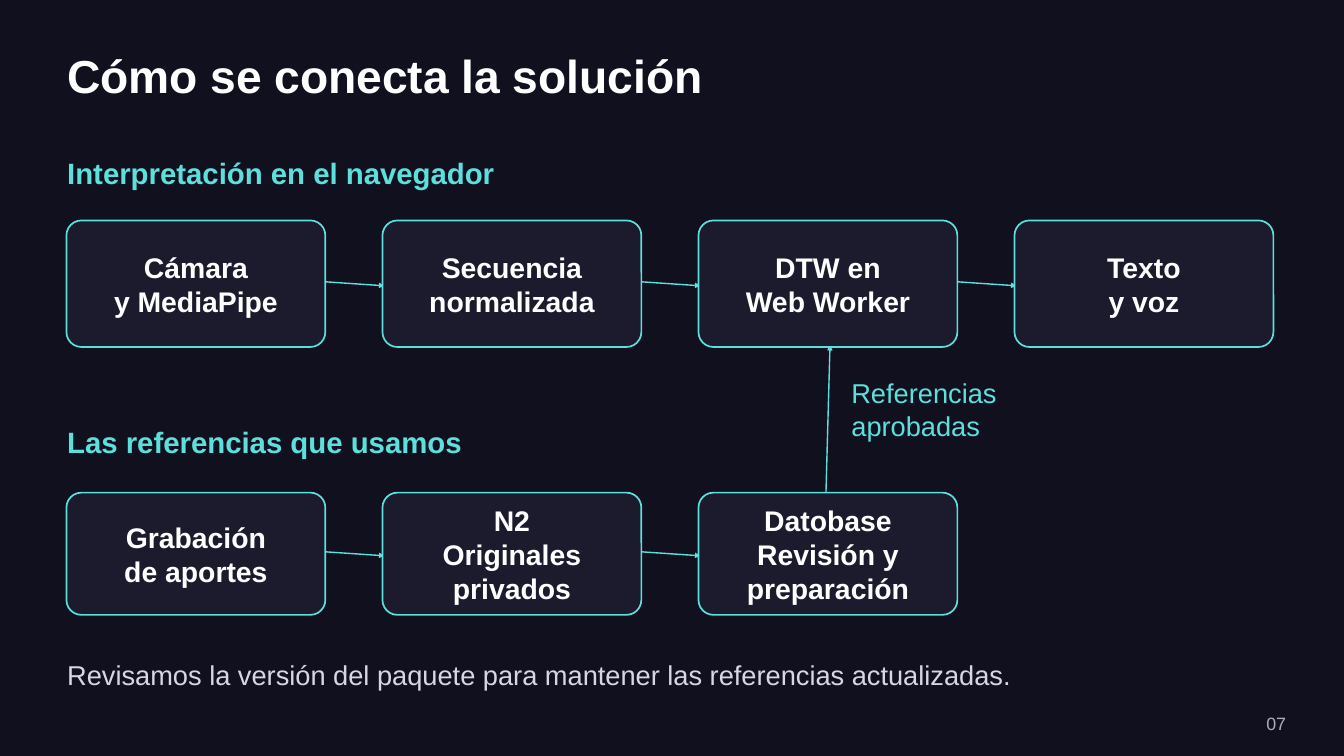
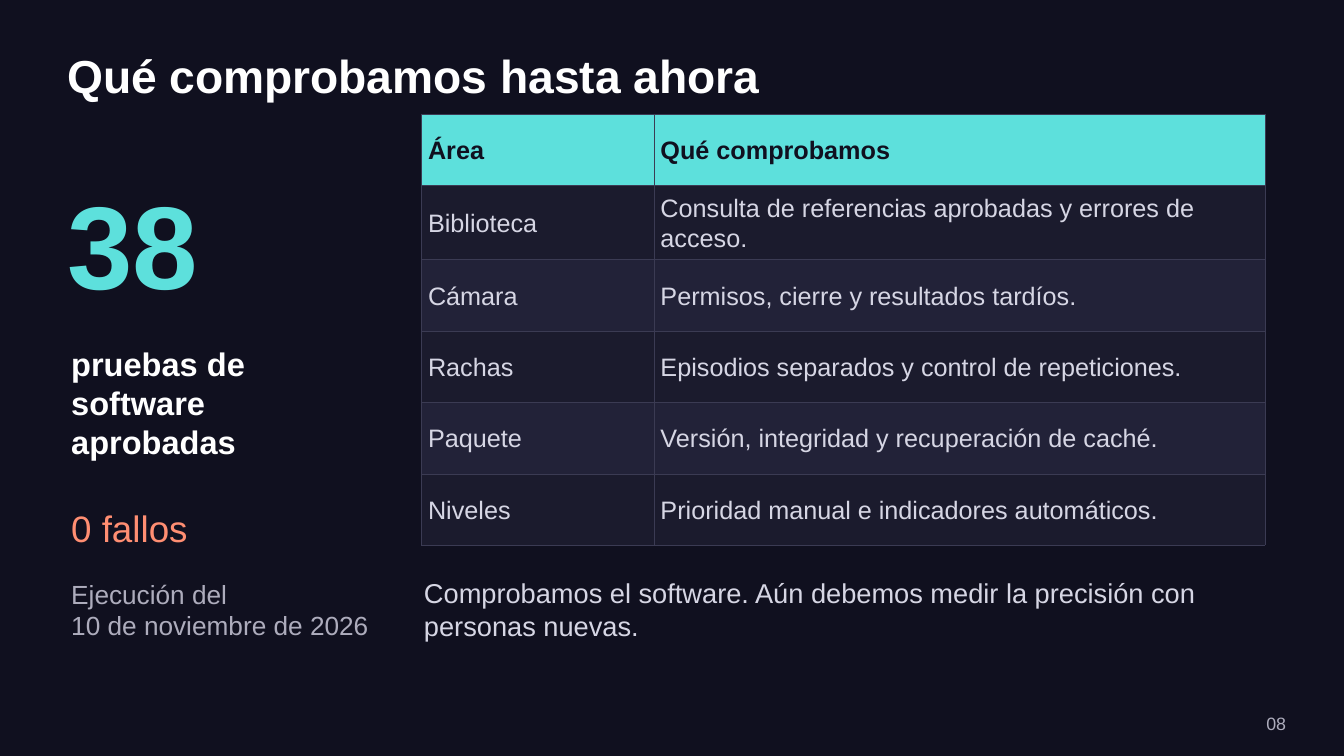
import lxml.etree
import pptx
import pptx.dml.color
import pptx.enum.shapes
import pptx.enum.text
import pptx.oxml
import pptx.oxml.ns
import pptx.util

Pt = pptx.util.Pt
RGBColor = pptx.dml.color.RGBColor
PP_ALIGN = pptx.enum.text.PP_ALIGN
MIDDLE = pptx.enum.text.MSO_ANCHOR.MIDDLE

NIGHT = RGBColor(0x10, 0x10, 0x1F)
PANEL = RGBColor(0x1B, 0x1B, 0x2D)
PANEL_ALT = RGBColor(0x22, 0x22, 0x38)
GRID = RGBColor(0x3B, 0x3B, 0x53)
TURQUOISE = RGBColor(0x5D, 0xE0, 0xDC)
CORAL = RGBColor(0xFF, 0x8E, 0x72)
WHITE = RGBColor(0xFF, 0xFF, 0xFF)
LIGHT = RGBColor(0xD6, 0xD6, 0xE4)
MUTED = RGBColor(0xAD, 0xAC, 0xBC)

FONT = "Arial"
LINE_FACTOR = 1.2
SLIDE_WIDTH, SLIDE_HEIGHT = 1440, 810
MARGIN = 72

# Text styles: size, colour, bold
STYLES = {
    "title": (49.5, WHITE, True),
    "number": (19.1, MUTED, False),
    "section": (31.5, TURQUOISE, True),
    "step": (30.4, WHITE, True),
    "link": (29.2, TURQUOISE, False),
    "body": (29.2, LIGHT, False),
    "figure": (126, TURQUOISE, True),
    "caption": (34.9, WHITE, True),
    "failures": (39.4, CORAL, False),
    "date": (28.1, MUTED, False),
    "header": (27, NIGHT, True),
    "cell": (27, LIGHT, False),
}

# Flow rows: heading, heading top, box top, box height, steps
FLOWS = [
    ("Interpretación en el navegador", 166.3, 236.2, 135.6, [
        ["Cámara", "y MediaPipe"],
        ["Secuencia", "normalizada"],
        ["DTW en", "Web Worker"],
        ["Texto", "y voz"],
    ]),
    ("Las referencias que usamos", 454.3, 527.8, 131, [
        ["Grabación", "de aportes"],
        ["N2", "Originales privados"],
        ["Datobase", "Revisión y preparación"],
    ]),
]
LINKED_STEP = 2
LINK_LABEL = ["Referencias", "aprobadas"]
FLOW_NOTE = ["Revisamos la versión del paquete para mantener las referencias actualizadas."]

STEP_LEFT, STEP_WIDTH, STEP_PITCH, STEP_RADIUS = 71.2, 277.4, 338.6, 16
ARROW_INSET = ARROW_DRIFT = 2.2

# Left column: style, lines, left, top, width, height
RESULTS = [
    ("figure", ["38"], 72, 184.3, 317.5, 160),
    ("caption", ["pruebas de software", "aprobadas"], 76.3, 368.6, 326.2, 113),
    ("failures", ["0 fallos"], 76.3, 542.2, 292.3, 57.6),
    ("date", ["Ejecución del", "10 de noviembre de 2026"], 76.3, 619.2, 320.4, 91.4),
]
CHECKS = [
    ("Área", "Qué comprobamos"),
    ("Biblioteca", "Consulta de referencias aprobadas y errores de acceso."),
    ("Cámara", "Permisos, cierre y resultados tardíos."),
    ("Rachas", "Episodios separados y control de repeticiones."),
    ("Paquete", "Versión, integridad y recuperación de caché."),
    ("Niveles", "Prioridad manual e indicadores automáticos."),
]
CHECKS_LEFT, CHECKS_TOP = 451.4, 122.4
CHECKS_COLUMNS = (249.1, 655.2)
CHECKS_ROW_HEIGHT = 76.5
CELL_MARGIN = 7.2
CHECKS_NOTE = ["Comprobamos el software. Aún debemos medir la precisión con personas nuevas."]


def write(text_frame, lines, style, align=PP_ALIGN.LEFT, margin=0):
    size, colour, bold = STYLES[style]
    text_frame.word_wrap = True
    for side in ("left", "top", "right", "bottom"):
        setattr(text_frame, f"margin_{side}", Pt(margin))
    for index, line in enumerate(lines):
        paragraph = text_frame.paragraphs[0] if index == 0 else text_frame.add_paragraph()
        paragraph.alignment = align
        paragraph.line_spacing = Pt(round(size * LINE_FACTOR, 1))
        run = paragraph.add_run()
        run.text = line
        for name, value in {"name": FONT, "size": Pt(size), "bold": bold}.items():
            setattr(run.font, name, value)
        run.font.color.rgb = colour


def add_text(slide, lines, style, left, top, width, height, align=PP_ALIGN.LEFT):
    box = slide.shapes.add_textbox(Pt(left), Pt(top), Pt(width), Pt(height))
    write(box.text_frame, lines, style, align)


def add_slide(presentation, title, number):
    """Add a dark slide with its title and page number."""
    slide = presentation.slides.add_slide(presentation.slide_layouts[6])
    slide.background.fill.solid()
    slide.background.fill.fore_color.rgb = NIGHT
    add_text(slide, [title], "title", MARGIN, 50.4, 1293.8, 85.7)
    add_text(slide, [number], "number", 1333.4, 763.9, 44.6, 26.6, PP_ALIGN.RIGHT)
    return slide


def add_arrow(slide, *ends):
    connector = slide.shapes.add_connector(
        pptx.enum.shapes.MSO_CONNECTOR.STRAIGHT, *[Pt(value) for value in ends])
    connector.line.color.rgb = TURQUOISE
    connector.line.width = Pt(1.5)
    tail = lxml.etree.SubElement(connector.line._get_or_add_ln(), pptx.oxml.ns.qn("a:tailEnd"))
    tail.set("type", "triangle")
    lxml.etree.SubElement(connector._element.spPr, pptx.oxml.ns.qn("a:effectLst"))


def add_step(slide, lines, left, top, height):
    shape = slide.shapes.add_shape(
        pptx.enum.shapes.MSO_SHAPE.ROUNDED_RECTANGLE,
        Pt(left), Pt(top), Pt(STEP_WIDTH), Pt(height))
    shape.adjustments[0] = STEP_RADIUS / height
    shape.shadow.inherit = False
    shape.fill.solid()
    shape.fill.fore_color.rgb = PANEL
    shape.line.color.rgb = TURQUOISE
    shape.line.width = Pt(1.8)
    shape.text_frame.vertical_anchor = MIDDLE
    write(shape.text_frame, lines, "step", PP_ALIGN.CENTER)


def step_left(index):
    return STEP_LEFT + index * STEP_PITCH


def build_flow_slide(presentation):
    slide = add_slide(presentation, "Cómo se conecta la solución", "07")

    (_, _, upper_top, upper_height, _), (_, _, lower_top, _, _) = FLOWS
    link_x = step_left(LINKED_STEP) + STEP_WIDTH / 2
    add_arrow(slide, link_x - ARROW_DRIFT, lower_top + ARROW_INSET,
              link_x + ARROW_DRIFT, upper_top + upper_height - ARROW_INSET)
    for _, _, top, height, steps in FLOWS:
        middle = top + height / 2
        for index in range(len(steps) - 1):
            add_arrow(slide, step_left(index) + STEP_WIDTH - ARROW_INSET, middle - ARROW_DRIFT,
                      step_left(index + 1) + ARROW_INSET, middle + ARROW_DRIFT)

    for heading, heading_top, top, height, steps in FLOWS:
        add_text(slide, [heading], "section", MARGIN, heading_top, 1260, 49)
        for index, lines in enumerate(steps):
            add_step(slide, lines, step_left(index), top, height)

    add_text(slide, LINK_LABEL, "link", 912.2, 403.2, 315.4, 87.1)
    add_text(slide, FLOW_NOTE, "body", MARGIN, 704.9, 1293.8, 51.8)


def add_cell_borders(cell):
    properties = cell._tc.get_or_add_tcPr()
    for position, side in enumerate(("lnL", "lnR", "lnT", "lnB")):
        properties.insert(position, pptx.oxml.parse_xml(
            f'<a:{side} {pptx.oxml.ns.nsdecls("a")} w="{Pt(0.45)}">'
            f'<a:solidFill><a:srgbClr val="{GRID}"/></a:solidFill></a:{side}>'))


def add_checks_table(slide):
    table = slide.shapes.add_table(
        len(CHECKS), len(CHECKS_COLUMNS), Pt(CHECKS_LEFT), Pt(CHECKS_TOP),
        Pt(sum(CHECKS_COLUMNS)), Pt(CHECKS_ROW_HEIGHT * len(CHECKS))).table
    for column, width in zip(table.columns, CHECKS_COLUMNS):
        column.width = Pt(width)
    for row_index, texts in enumerate(CHECKS):
        table.rows[row_index].height = Pt(CHECKS_ROW_HEIGHT)
        fill = PANEL if row_index % 2 else PANEL_ALT
        style = "cell"
        if row_index == 0:
            fill, style = TURQUOISE, "header"
        for column_index, text in enumerate(texts):
            cell = table.cell(row_index, column_index)
            write(cell.text_frame, [text], style)
            for side in ("left", "top", "right", "bottom"):
                setattr(cell, f"margin_{side}", Pt(CELL_MARGIN))
            cell.vertical_anchor = MIDDLE
            cell.fill.solid()
            cell.fill.fore_color.rgb = fill
            add_cell_borders(cell)


def build_checks_slide(presentation):
    slide = add_slide(presentation, "Qué comprobamos hasta ahora", "08")
    for style, lines, *place in RESULTS:
        add_text(slide, lines, style, *place)
    add_checks_table(slide)
    add_text(slide, CHECKS_NOTE, "body", 454.3, 617.8, 888.5, 69.8)


def main():
    presentation = pptx.Presentation()
    presentation.slide_width = Pt(SLIDE_WIDTH)
    presentation.slide_height = Pt(SLIDE_HEIGHT)
    build_flow_slide(presentation)
    build_checks_slide(presentation)
    presentation.save("out.pptx")


if __name__ == "__main__":
    main()
